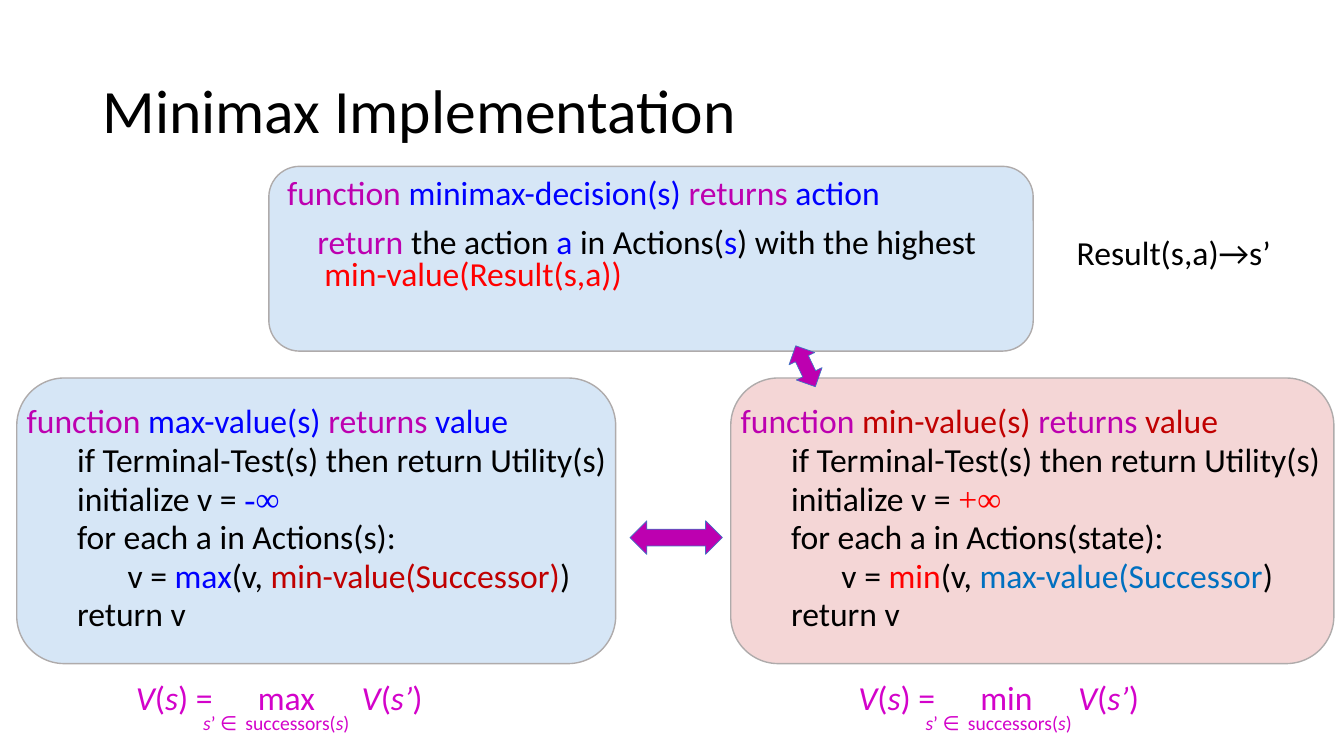
import pptx
import pptx.util
import pptx.dml.color
import pptx.enum.shapes
import pptx.enum.text
import lxml.etree

RGBColor = pptx.dml.color.RGBColor
BLACK = RGBColor(0x00, 0x00, 0x00)
PURPLE = RGBColor(0xBD, 0x00, 0xB0)
MAGENTA = RGBColor(0xD3, 0x03, 0xCA)
BLUE = RGBColor(0x00, 0x00, 0xFF)
SKY = RGBColor(0x00, 0x70, 0xC0)
RED = RGBColor(0xFF, 0x00, 0x00)
DARK_RED = RGBColor(0xC0, 0x00, 0x00)
PANEL_BLUE = RGBColor(0x00, 0x66, 0xCC)
PANEL_EDGE = RGBColor(0xAF, 0xAB, 0xAB)
ARROW_EDGE = RGBColor(0x44, 0x72, 0xC4)
SERIF = "Times New Roman"

# The slide is a grid of 160 columns and 90 rows, twelve to the inch.
COLUMNS, ROWS = 160, 90
SLIDE_WIDTH, SLIDE_HEIGHT = pptx.util.Inches(13.33), pptx.util.Inches(7.5)

TITLE = "Minimax Implementation"
RESULT = "Result(s,a)→s’"

# Paragraphs of code are (level, runs); a run is (text, colour, optional font).
DECISION = [
    (0, [("function ", PURPLE), ("minimax-decision(s) ", BLUE),
         ("returns ", PURPLE), ("action", BLUE)]),
    ("wrapped", [("return", PURPLE), (" the action ", BLACK), ("a", BLUE),
                 (" in Actions(", BLACK), ("s", BLUE),
                 (") with the highest ", BLACK),
                 ("min-value(Result(s,a))", RED)]),
]


def value_function(name, name_colour, start, start_colour, state, pick,
                   pick_colour, call, call_colour, ending):
    """Code shared by max-value and min-value."""
    return [
        (0, [("function ", PURPLE), (name + "(s) ", name_colour),
             ("returns ", PURPLE), ("value", name_colour)]),
        (1, [("if Terminal-Test(s) then return Utility(s)", BLACK)]),
        (1, [("initialize v = ", BLACK), (start, start_colour, SERIF)]),
        (1, [(f"for each a in Actions({state}):", BLACK)]),
        (2, [("v = ", BLACK), (pick, pick_colour), ("(v, ", BLACK),
             (call, call_colour), (ending, BLACK)]),
        (1, [("return v", BLACK)]),
    ]


MAX_VALUE = value_function("max-value", BLUE, "-∞", BLUE, "s", "max", BLUE,
                           "min-value(Successor)", DARK_RED, ")")
MIN_VALUE = value_function("min-value", DARK_RED, "+∞", RED, "state", "min",
                           RED, "max-value(Successor", SKY, ")")

# Panel (left, top, width, height), colour, text area, code
PANELS = [
    ((2, 45, 71.3, 34), PANEL_BLUE, (2, 48, 73, 29), MAX_VALUE),
    ((87, 45, 71.8, 34), DARK_RED, (87, 48, 73, 30), MIN_VALUE),
    ((32, 19.8, 91, 22), PANEL_BLUE, (33, 20.8, 87, 20), DECISION),
]
ARROWS = [((75, 62, 11, 4), 0), ((93.2, 41.9, 5.4, 3.4), 64.4)]
# Left column, operator, tab stops in inches
FORMULAS = [(15, "max", (1.21, 2.24)), (101, "min", (1.21, 2.18))]

# Left margin, first-line indent (inches) and space before (points)
LEVELS = {0: (0.37, -0.37, 12), "wrapped": (0.37, -0.07, 12),
          1: (0.81, -0.31, 4.5), 2: (1.25, -0.25, 4.5)}


def place(area):
    left, top, width, height = area
    return (int(SLIDE_WIDTH * left / COLUMNS), int(SLIDE_HEIGHT * top / ROWS),
            int(SLIDE_WIDTH * width / COLUMNS),
            int(SLIDE_HEIGHT * height / ROWS))


def add_tabs(para, stops):
    properties = para._p.get_or_add_pPr()
    tab_list = lxml.etree.SubElement(properties, pptx.oxml.ns.qn("a:tabLst"))
    for stop in stops:
        tab = lxml.etree.SubElement(tab_list, pptx.oxml.ns.qn("a:tab"))
        tab.set("pos", str(pptx.util.Inches(stop)))
        tab.set("algn", "l")


def add_text(slide, area, paragraphs, size=24, spacing=None, tabs=(),
             anchor=pptx.enum.text.MSO_ANCHOR.TOP, wrap=True):
    """Add a text box; a run is (text, colour, optional font, optional italic)."""
    frame = slide.shapes.add_textbox(*place(area)).text_frame
    frame.word_wrap = wrap
    frame.vertical_anchor = anchor
    for index, (level, runs) in enumerate(paragraphs):
        para = frame.paragraphs[0] if index == 0 else frame.add_paragraph()
        if tabs:
            add_tabs(para, tabs)
        if level is not None:
            margin, indent, before = LEVELS[level]
            properties = para._p.get_or_add_pPr()
            properties.set("marL", str(pptx.util.Inches(margin)))
            properties.set("indent", str(pptx.util.Inches(indent)))
            if index:
                para.space_before = pptx.util.Pt(before)
        if spacing:
            para.line_spacing = spacing
        for text, colour, *extra in runs:
            span = para.add_run()
            span.text = text
            span.font.size = pptx.util.Pt(size)
            span.font.name = extra[0] if extra else "Calibri"
            span.font.color.rgb = colour
            span.font.italic = len(extra) > 1 and extra[1]


def add_block(slide, kind, area, fill, edge, edge_width, opacity=None):
    block = slide.shapes.add_shape(kind, *place(area))
    block.shadow.inherit = False
    block.fill.solid()
    block.fill.fore_color.rgb = fill
    block.line.color.rgb = edge
    block.line.width = pptx.util.Pt(edge_width)
    if opacity:
        colour = block.fill._xPr.find(".//" + pptx.oxml.ns.qn("a:srgbClr"))
        alpha = lxml.etree.SubElement(colour, pptx.oxml.ns.qn("a:alpha"))
        alpha.set("val", str(opacity * 1000))
    return block


def formula_runs(*parts):
    """Alternate italic and upright runs, beginning with italic."""
    return [(None, [(text, MAGENTA, "Calibri", index % 2 == 0)
                    for index, text in enumerate(parts)])]


def main():
    deck = pptx.Presentation()
    deck.slide_width, deck.slide_height = SLIDE_WIDTH, SLIDE_HEIGHT
    slide = deck.slides.add_slide(deck.slide_layouts[6])
    kinds = pptx.enum.shapes.MSO_SHAPE

    add_text(slide, (11, 4.8, 138, 17.4), [(None, [(TITLE, BLACK)])], size=44,
             spacing=0.9, anchor=pptx.enum.text.MSO_ANCHOR.MIDDLE)
    for panel, fill, text_area, code in PANELS:
        add_block(slide, kinds.ROUNDED_RECTANGLE, panel, fill, PANEL_EDGE, 1,
                  opacity=16)
        add_text(slide, text_area, code, spacing=0.8)
    for area, angle in ARROWS:
        arrow = add_block(slide, kinds.LEFT_RIGHT_ARROW, area, PURPLE,
                          ARROW_EDGE, 0.5)
        arrow.rotation = angle
    add_text(slide, (127, 27, 26, 6), [(None, [(RESULT, BLACK)])], wrap=False)
    for left, operator, stops in FORMULAS:
        add_text(slide, (left, 80, 58, 6),
                 formula_runs("V", "(", "s", f") =\t{operator}\t", "V", "(",
                              "s’", ")"), tabs=stops)
        add_text(slide, (left + 8, 84, 24, 4),
                 formula_runs("s", "’ ∈\tsuccessors(", "s", ")"),
                 size=14, tabs=(0.42,))
    deck.save("out.pptx")


if __name__ == "__main__":
    main()
